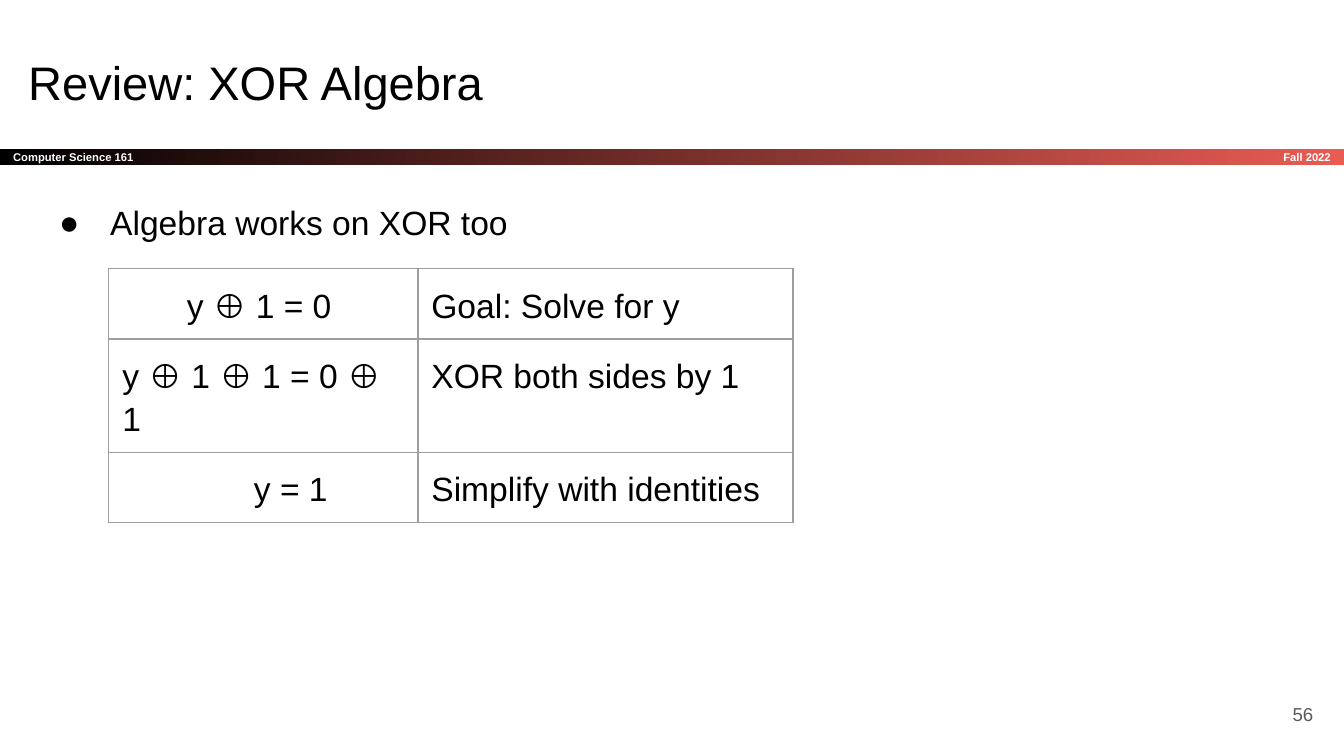
"""Build the XOR algebra review slide."""
from dataclasses import dataclass

from lxml.etree import SubElement
from pptx import Presentation
from pptx.dml.color import RGBColor
from pptx.enum.shapes import MSO_SHAPE
from pptx.enum.text import MSO_ANCHOR, MSO_AUTO_SIZE, PP_ALIGN
from pptx.oxml.ns import qn
from pptx.util import Inches, Pt


@dataclass(frozen=True)
class Theme:
    font: str = "Arial"
    ink: str = "000000"
    accent: str = "E85C54"
    light: str = "FFFFFF"
    muted: str = "595959"
    rule: str = "9E9E9E"
    title_size: float = 25.2
    body_size: float = 18
    number_size: float = 10
    band_size: float = 6
    rule_width: float = 0.75


theme = Theme()


def write(frame, text, size, color, align=PP_ALIGN.LEFT, anchor=MSO_ANCHOR.TOP, bold=False):
    frame.word_wrap = True
    frame.auto_size = MSO_AUTO_SIZE.NONE
    frame.vertical_anchor = anchor
    frame.margin_left = frame.margin_right = Inches(0.1)
    frame.margin_top = frame.margin_bottom = Inches(0.1)
    return style(frame.paragraphs[0], text, size, color, align, bold)


def style(paragraph, text, size, color, align=PP_ALIGN.LEFT, bold=False):
    paragraph.text = text
    paragraph.alignment = align
    paragraph.space_before = Pt(0)
    paragraph.font.name = theme.font
    paragraph.font.size = Pt(size)
    paragraph.font.bold = bold
    paragraph.font.color.rgb = RGBColor.from_string(color)
    return paragraph


deck = Presentation()
deck.slide_width, deck.slide_height = Inches(10), Inches(10 * 9 / 16)
slide = deck.slides.add_slide(deck.slide_layouts[1])
shapes = slide.shapes

band = shapes.add_shape(MSO_SHAPE.RECTANGLE, 0, Inches(1.11), Inches(10), Inches(0.12))
band.shadow.inherit = False
band.line.fill.background()
band.fill.gradient()
band.fill.gradient_angle = 0
for stop, color, position in zip(band.fill.gradient_stops, (theme.ink, theme.accent), (0, 1)):
    stop.color.rgb = RGBColor.from_string(color)
    stop.position = position
write(band.text_frame, "Computer Science 161", theme.band_size, theme.light,
      anchor=MSO_ANCHOR.MIDDLE, bold=True)

term = shapes.add_textbox(Inches(8.34), Inches(1.11), Inches(1.66), Inches(0.12))
write(term.text_frame, "Fall 2022", theme.band_size, theme.light,
      PP_ALIGN.RIGHT, MSO_ANCHOR.MIDDLE, True)

title = shapes.title
title.left, title.top, title.width, title.height = Inches(0.11), Inches(0.3), Inches(9.32), Inches(0.63)
write(title.text_frame, "Review: XOR Algebra", theme.title_size, theme.ink)

claim = slide.placeholders[1]
claim.left, claim.top, claim.width, claim.height = Inches(0.22), Inches(1.36), Inches(9.32), Inches(1.15)
bullet = claim.text_frame.paragraphs[0]
bullet_props = bullet._p.get_or_add_pPr()
bullet_props.set("marL", str(Inches(0.5)))
bullet_props.set("indent", str(Inches(-0.38)))
SubElement(bullet_props, qn("a:buChar"), char="●")
write(claim.text_frame, "Algebra works on XOR too", theme.body_size, theme.ink)
bullet.line_spacing = 1.15

page_number = shapes.add_textbox(Inches(9.27), Inches(5.1), Inches(0.6), Inches(0.43))
write(page_number.text_frame, "56", theme.number_size, theme.muted,
      PP_ALIGN.RIGHT, MSO_ANCHOR.MIDDLE)

steps = [
    ("y ⊕ 1 = 0", 0.48, "Goal: Solve for y", 0.52),
    ("y ⊕ 1 ⊕ 1 = 0 ⊕ 1", 0, "XOR both sides by 1", 0.84),
    ("y = 1", 0.98, "Simplify with identities", 0.52),
]
derivation = shapes.add_table(len(steps), 2, Inches(0.81), Inches(2), Inches(5.09), Inches(1.88)).table
derivation.first_row = derivation.horz_banding = False
derivation.columns[0].width, derivation.columns[1].width = Inches(2.3), Inches(2.79)
for row, (equation, indent, reason, height) in enumerate(steps):
    derivation.rows[row].height = Inches(height)
    for column, (text, margin) in enumerate([(equation, indent), (reason, 0)]):
        cell = derivation.cell(row, column)
        cell.margin_left = cell.margin_right = Inches(0.1)
        cell.margin_top = cell.margin_bottom = Inches(0.1)
        line = style(cell.text_frame.paragraphs[0], text, theme.body_size, theme.ink)
        line.line_spacing = 1.15
        line._p.get_or_add_pPr().set("marL", str(Inches(margin)))
        cell_props = cell._tc.get_or_add_tcPr()
        for side in ("a:lnL", "a:lnR", "a:lnT", "a:lnB"):
            border = SubElement(cell_props, qn(side), w=str(Pt(theme.rule_width)))
            SubElement(SubElement(border, qn("a:solidFill")), qn("a:srgbClr"), val=theme.rule)
        cell.fill.background()

deck.save("out.pptx")
